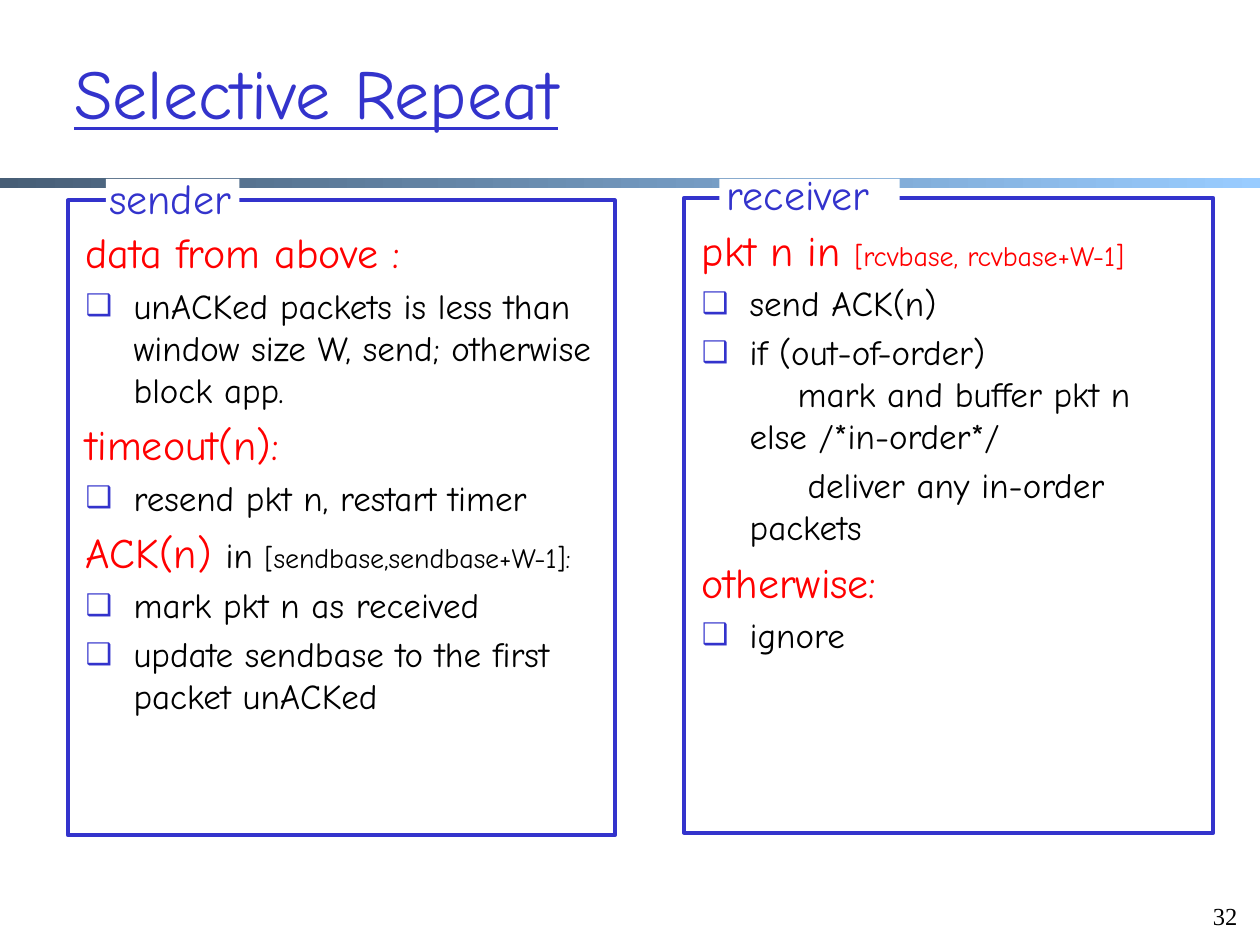
from lxml.etree import SubElement
from pptx import Presentation
from pptx.dml.color import RGBColor
from pptx.enum.shapes import MSO_SHAPE as SHAPE
from pptx.enum.text import MSO_ANCHOR as ANCHOR, MSO_AUTO_SIZE as AUTOSIZE, PP_ALIGN as ALIGN
from pptx.oxml.ns import qn
from pptx.util import Inches, Pt

BLUE = RGBColor(0x33, 0x33, 0xCC)
RED = RGBColor(0xFF, 0, 0)
BLACK = RGBColor(0, 0, 0)
WHITE = RGBColor(0xFF, 0xFF, 0xFF)
BAR_DARK = RGBColor(0x47, 0x5E, 0x76)
BAR_LIGHT = RGBColor(0x99, 0xCC, 0xFF)
COMIC = "Comic Neue"
HANG = 0.38

TITLE = "Selective Repeat"
PAGE = "32"

STYLES = {
    "head": (HANG, -HANG, 0.2),
    "bullet": (HANG, -HANG, 0.2),
    "nested": (2 * HANG, 0, 0),
    "plain": (HANG, 0, 0),
    "deep": (HANG, 0.46, 0.2),
}

SENDER = [
    ("head", [("data from above :", 24, RED)]),
    ("bullet", [("unACKed packets is less than window size W, send; otherwise block app.", 20, BLACK)]),
    ("head", [("timeout(n):", 24, RED)]),
    ("bullet", [("resend pkt n, restart timer", 20, BLACK)]),
    ("head", [("ACK(n) ", 24, RED), ("in ", 20, BLACK), ("[sendbase,sendbase+W-1]:", 16, BLACK)]),
    ("bullet", [("mark pkt n as received", 20, BLACK)]),
    ("bullet", [("update sendbase to the first packet unACKed", 20, BLACK)]),
]
RECEIVER = [
    ("head", [("pkt n in ", 24, RED), ("[rcvbase, rcvbase+W-1]", 16, RED)]),
    ("bullet", [("send ACK(n)", 20, BLACK)]),
    ("bullet", [("if (out-of-order)", 20, BLACK)]),
    ("nested", [("mark and buffer pkt n", 20, BLACK)]),
    ("plain", [("else /*in-order*/", 20, BLACK)]),
    ("deep", [("deliver any in-order packets", 20, BLACK)]),
    ("head", [("otherwise:", 24, RED)]),
    ("bullet", [("ignore", 20, BLACK)]),
]
PANELS = [
    {"label": "sender", "lines": SENDER, "text": (0.58, 1.75, 4.51, 5.23),
     "frame": (0.54, 1.59, 4.34, 5.04), "gap": (0.84, 1.42, 1.06, 0.31),
     "caption": (0.77, 1.32, 1.26, 0.5)},
    {"label": "receiver", "lines": RECEIVER, "text": (5.47, 1.73, 4.17, 5.08),
     "frame": (5.43, 1.57, 4.2, 5.04), "gap": (5.71, 1.42, 1.43, 0.31),
     "caption": (5.67, 1.29, 1.49, 0.5)},
]


def box(edges):
    return [Inches(edge) for edge in edges]


def place(holder, edges):
    holder.left, holder.top, holder.width, holder.height = box(edges)
    holder.text_frame.word_wrap = True
    holder.text_frame.auto_size = AUTOSIZE.NONE
    return holder.text_frame


def set_font(font, size, color, name=COMIC):
    font.name, font.size = name, Pt(size)
    font.color.rgb = color


def add_rect(edges):
    rect = slide.shapes.add_shape(SHAPE.RECTANGLE, *box(edges))
    rect.shadow.inherit = False
    rect.line.fill.background()
    return rect


def format_indent(paragraph, left, first, bulleted):
    props = paragraph._p.get_or_add_pPr()
    props.set("marL", str(Inches(left)))
    props.set("indent", str(Inches(first)))
    if not bulleted:
        SubElement(props, qn("a:buNone"))
        return
    color = SubElement(props, qn("a:buClr"))
    SubElement(color, qn("a:srgbClr"), val=str(BLUE))
    SubElement(props, qn("a:buSzPct"), val="85000")
    SubElement(props, qn("a:buChar"), char="❑")


def write_lines(frame, lines):
    for number, (style, runs) in enumerate(lines):
        paragraph = frame.add_paragraph() if number else frame.paragraphs[0]
        left, first, gap = STYLES[style]
        format_indent(paragraph, left, first, style == "bullet")
        paragraph.space_before = Pt(gap * runs[0][1] if number else 0)
        set_font(paragraph.font, runs[0][1], runs[0][2])
        for text, size, color in runs:
            run = paragraph.add_run()
            run.text = text
            set_font(run.font, size, color)


def add_caption(edges, text):
    frame = slide.shapes.add_textbox(*box(edges)).text_frame
    frame.word_wrap = False
    frame.text = text
    set_font(frame.paragraphs[0].font, 24, BLUE)


deck = Presentation()
deck.slide_width, deck.slide_height = Inches(10), Inches(7.5)
slide = deck.slides.add_slide(deck.slide_layouts[3])

bar = add_rect((0, 1.41, 10, 0.08))
bar.fill.gradient()
bar.fill.gradient_angle = 0
for stop, position, shade in zip(bar.fill.gradient_stops, (0, 1), (BAR_DARK, BAR_LIGHT)):
    stop.position = position
    stop.color.rgb = shade

heading = place(slide.shapes.title, (0.49, 0.27, 8.5, 0.92))
heading.vertical_anchor = ANCHOR.MIDDLE
heading.text = TITLE
heading.paragraphs[0].alignment = ALIGN.LEFT
set_font(heading.paragraphs[0].font, 40, BLUE)
heading.paragraphs[0].font.underline = True

for index, panel in enumerate(PANELS, start=1):
    write_lines(place(slide.placeholders[index], panel["text"]), panel["lines"])
    frame = add_rect(panel["frame"])
    frame.fill.background()
    frame.line.color.rgb = BLUE
    frame.line.width = Pt(2.25)
    gap = add_rect(panel["gap"])
    gap.fill.solid()
    gap.fill.fore_color.rgb = WHITE
    add_caption(panel["caption"], panel["label"])

page = place(slide.shapes.add_textbox(0, 0, 0, 0), (9.46, 7.05, 0.46, 0.38))
page.vertical_anchor = ANCHOR.BOTTOM
page.text = PAGE
page.paragraphs[0].alignment = ALIGN.RIGHT
set_font(page.paragraphs[0].font, 14, BLACK, "Times New Roman")

deck.save("out.pptx")
